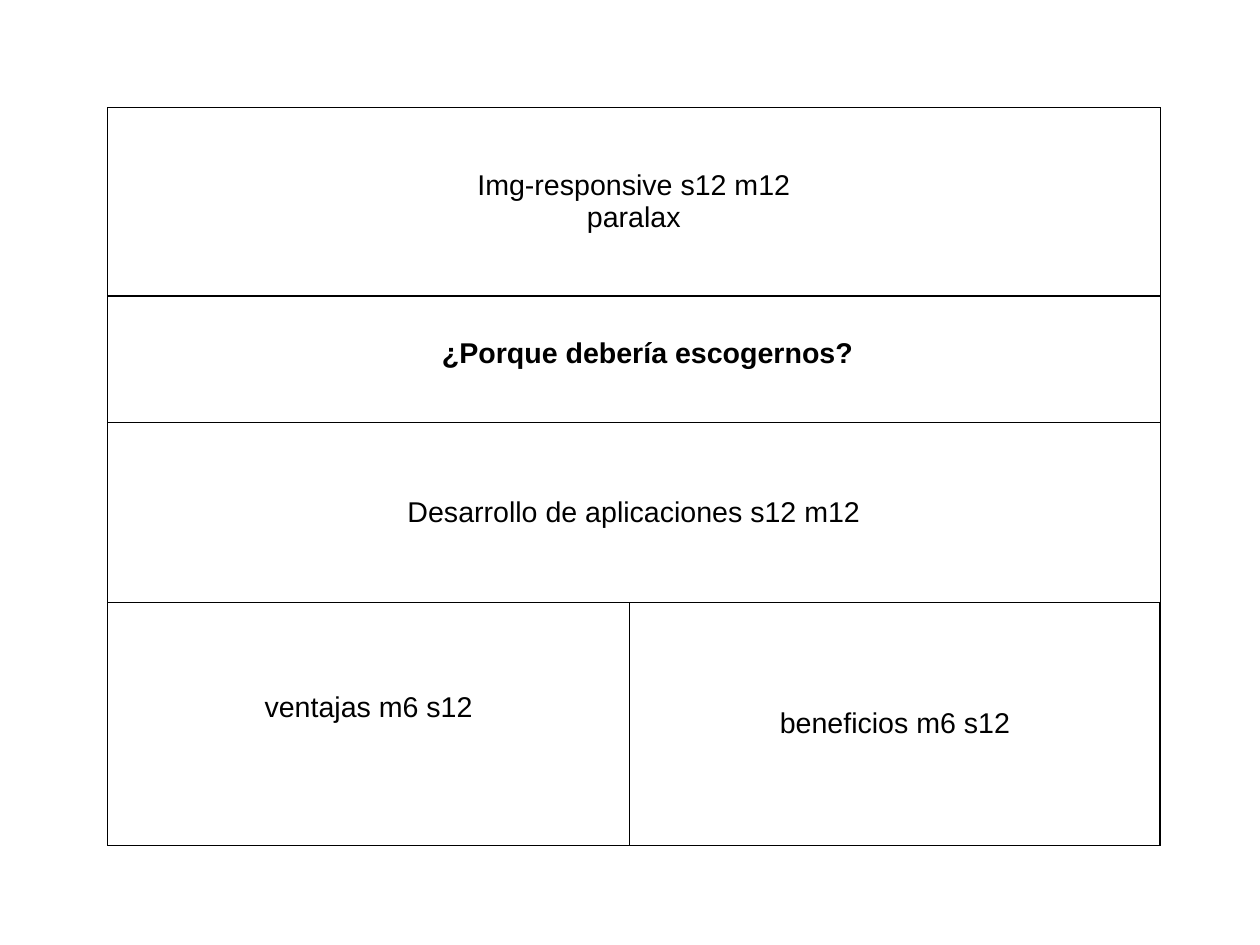
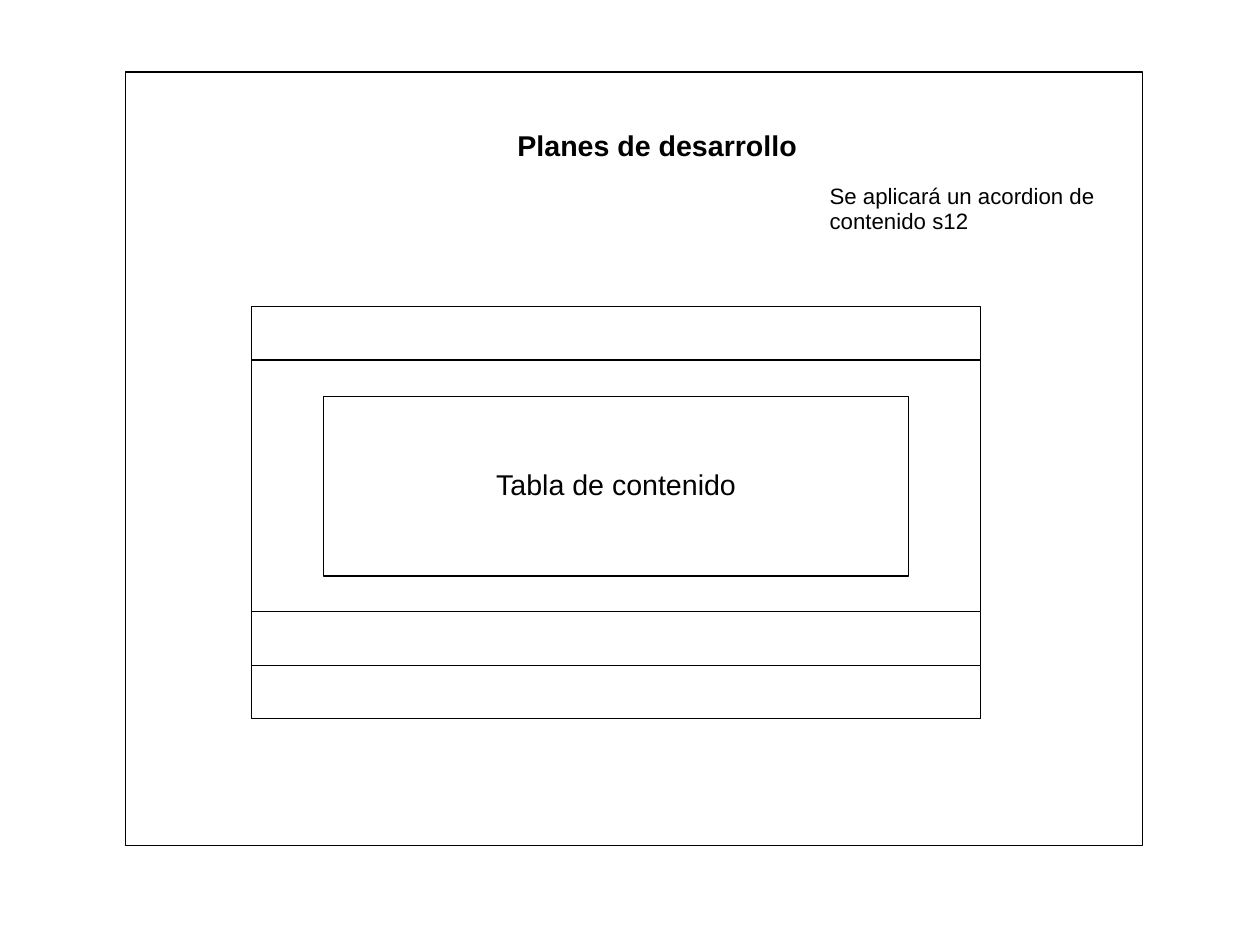
from pptx import Presentation
from pptx import util as u
from pptx.dml.color import RGBColor
from pptx.enum import shapes, text

BLACK = RGBColor(0, 0, 0)
WHITE = RGBColor(255, 255, 255)
FONT = "Arial"


def write(box, lines, size=18, bold=False, align=text.PP_ALIGN.CENTER):
    frame = box.text_frame
    frame.word_wrap = True
    frame.text = "\n".join(lines)
    for paragraph in frame.paragraphs:
        paragraph.alignment = align
        paragraph.line_spacing = 0.93
        paragraph.font.name = FONT
        paragraph.font.size = u.Pt(size)
        paragraph.font.bold = bold
        paragraph.font.color.rgb = BLACK


def add_panel(page, left, top, width, height, lines=()):
    panel = page.shapes.add_shape(
        shapes.MSO_SHAPE.RECTANGLE,
        u.Inches(left), u.Inches(top), u.Inches(width), u.Inches(height))
    panel.shadow.inherit = False
    panel.fill.solid()
    panel.fill.fore_color.rgb = WHITE
    panel.line.color.rgb = BLACK
    panel.line.width = u.Pt(0.75)
    if lines:
        panel.text_frame.vertical_anchor = text.MSO_ANCHOR.MIDDLE
        write(panel, lines)
    return panel


deck = Presentation()
deck.slide_width = u.Cm(28)
deck.slide_height = u.Cm(21)
blank = deck.slide_layouts[6]

page = deck.slides.add_slide(blank)
left, width = 0.94, 9.21
split, columns_top, bottom = 5.51, 5.27, 7.4
columns_height = bottom - columns_top
add_panel(page, left, 0.94, width, bottom - 0.94)
add_panel(page, left, 0.94, width, 1.65, ["Img-responsive s12 m12", "paralax"])
question = page.shapes.add_textbox(
    u.Inches(3.62), u.Inches(2.91), u.Inches(4.09), u.Inches(0.4))
write(question, ["¿Porque debería escogernos?"], bold=True)
advantages = add_panel(page, left, columns_top, split - left, columns_height,
                       ["ventajas m6 s12"])
advantages.text_frame.margin_bottom = u.Inches(0.33)
add_panel(page, split, columns_top, left + width - split, columns_height,
          ["beneficios m6 s12"])
add_panel(page, left, 3.7, width, columns_top - 3.7,
          ["Desarrollo de aplicaciones s12 m12"])

page = deck.slides.add_slide(blank)
add_panel(page, 1.1, 0.63, 8.9, 6.77)
title = page.shapes.add_textbox(
    u.Inches(4.41), u.Inches(1.1), u.Inches(2.68), u.Inches(0.68))
write(title, ["Planes de desarrollo"], bold=True)
note = page.shapes.add_textbox(
    u.Inches(7.16), u.Inches(1.57), u.Inches(2.76), u.Inches(0.55))
write(note, ["Se aplicará un acordion de contenido s12"], size=14,
      align=text.PP_ALIGN.LEFT)

top = 2.68
for height in (0.47, 2.2, 0.47, 0.47):
    add_panel(page, 2.2, top, 6.38, height)
    top += height
add_panel(page, 2.83, 3.47, 5.12, 1.57, ["Tabla de contenido"])

deck.save("out.pptx")
